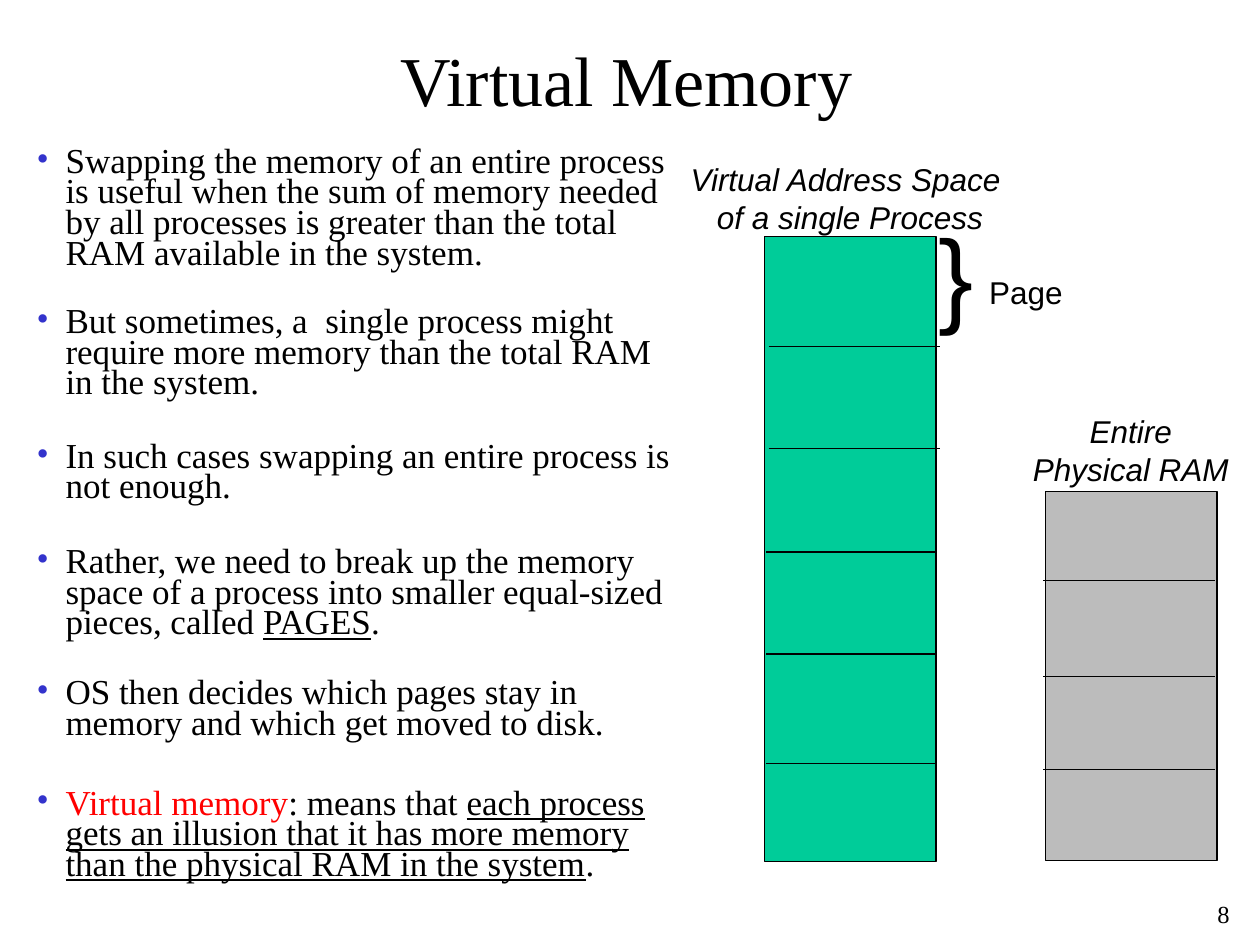
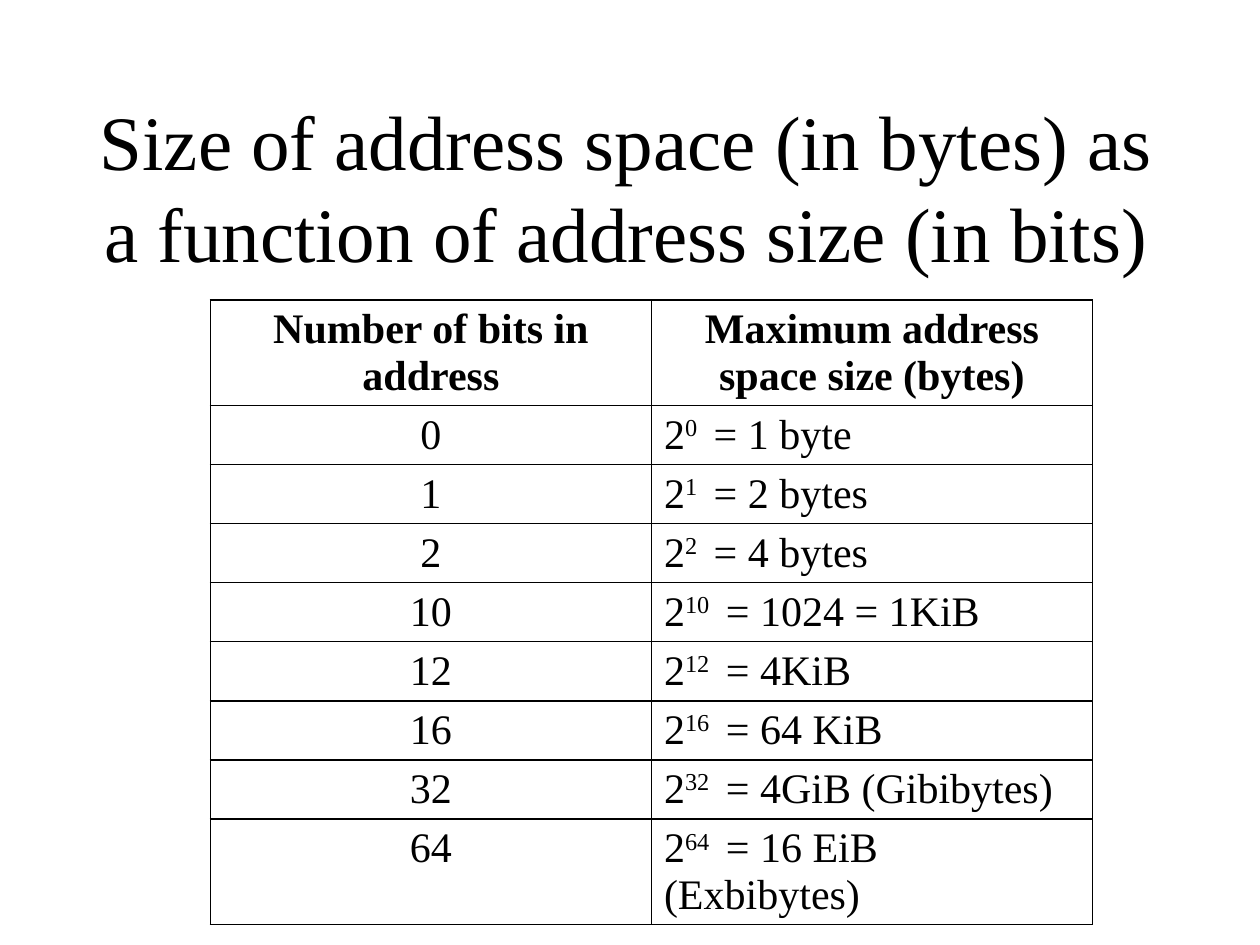
from dataclasses import dataclass

import pptx
import pptx.dml.color
import pptx.enum.shapes
import pptx.enum.text
import pptx.oxml
import pptx.oxml.ns
import pptx.oxml.xmlchemy
import pptx.util
from pptx.util import Inches

# Shared look
BLACK, RED, BULLET_BLUE = "000000", "FF0000", "3333CC"
GREEN, GRAY = "00CC99", "BCBCBC"
SERIF, SANS = "Times New Roman", "Arial"
INSET = Inches(0.05)
ALIGN = pptx.enum.text.PP_ALIGN
ANCHOR = pptx.enum.text.MSO_ANCHOR
BODY_STYLE = {"name": SERIF, "size": pptx.util.Pt(20)}
CELL_STYLE = {"name": SERIF, "size": pptx.util.Pt(24), "bold": False}
HEADER_STYLE = CELL_STYLE | {"bold": True}
LABEL_STYLE = {"name": SANS, "size": pptx.util.Pt(18)}
CAPTION_STYLE = LABEL_STYLE | {"italic": True}


@dataclass
class Span:
    text: str
    color: str = BLACK
    underline: bool = False
    superscript: bool = False


@dataclass
class Bullet:
    spans: list[Span]
    gap_before: float = 0


@dataclass
class Label:
    lines: list[str]
    box: tuple[float, float, float, float]
    style: dict
    align: ALIGN = ALIGN.LEFT
    wrap: bool = False
    line_spacing: float = 1.0


@dataclass
class MemoryBlock:
    left: float
    top: float
    height: float
    fill: str
    page_breaks: list[tuple[float, float]]  # left end and height on the slide
    width: float = 1.36


# Content
BULLETS = [
    Bullet([Span("Swapping the memory of an entire process is useful when the sum of "
                 "memory needed by all processes is greater than the total RAM "
                 "available in the system.")]),
    Bullet([Span("But sometimes, a  single process might require more memory than "
                 "the total RAM in the system.")], 21.5),
    Bullet([Span("In such cases swapping an entire process is not enough.")], 24.5),
    Bullet([Span("Rather, we need to break up the memory space of a process into "
                 "smaller equal-sized pieces, called "),
            Span("PAGES", underline=True), Span(".")], 25),
    Bullet([Span("OS then decides which pages stay in memory and which get moved "
                 "to disk.")], 22.5),
    Bullet([Span("Virtual memory", RED), Span(": means that "),
            Span("each process gets an illusion that it has more memory than the "
                 "physical RAM in the system", underline=True), Span(".")], 28),
]

MEMORY_BLOCKS = [
    MemoryBlock(6.07, 1.88, 4.96, GREEN,
                [(6.1, 2.75), (6.1, 3.56), (6.08, 4.38), (6.08, 5.19), (6.08, 6.06)]),
    MemoryBlock(8.3, 3.9, 2.93, GRAY, [(8.28, 4.61), (8.28, 5.37), (8.28, 6.11)]),
]

LABELS = [
    Label(["Virtual Address Space ", "of a single Process"], (5.39, 1.22, 2.71, 0.71),
          CAPTION_STYLE, ALIGN.CENTER),
    Label(["Entire", "Physical RAM"], (8.14, 3.22, 1.67, 0.71),
          CAPTION_STYLE, ALIGN.CENTER),
    Label(["Page"], (7.8, 2.12, 0.7, 0.41), LABEL_STYLE),
    Label(["}"], (7.4, 1.61, 0.39, 1.1), LABEL_STYLE | {"size": pptx.util.Pt(60)}),
    Label(["8"], (9.35, 7.11, 0.46, 0.31), {"name": SERIF, "size": pptx.util.Pt(14)},
          ALIGN.RIGHT, True, 0.9),
]

TABLE_HEADERS = ["Number of bits in address", "Maximum address space size (bytes)"]
SPACE_SIZES = {
    "0": "1 byte", "1": "2 bytes", "2": "4 bytes", "10": "1024 = 1KiB", "12": "4KiB",
    "16": "64 KiB", "32": "4GiB (Gibibytes)", "64": "16 EiB (Exbibytes)",
}


# Helpers
def rgb(color: str) -> pptx.dml.color.RGBColor:
    return pptx.dml.color.RGBColor.from_string(color)


def apply_format(target, values: dict) -> None:
    for name, value in values.items():
        setattr(target, name, value)


def add_spans(paragraph, spans: list[Span], style: dict) -> None:
    for span in spans:
        run = paragraph.add_run()
        run.text = span.text
        apply_format(run.font, style | {"underline": span.underline})
        run.font.color.rgb = rgb(span.color)
        if span.superscript:
            run.font._element.set("baseline", "30000")


def set_frame(shape, box: tuple[float, float, float, float], wrap: bool = True,
              anchor: ANCHOR = ANCHOR.TOP):
    apply_format(shape, dict(zip(("left", "top", "width", "height"), map(Inches, box))))
    frame = shape.text_frame
    apply_format(frame, {
        "margin_left": INSET, "margin_right": INSET, "margin_top": INSET,
        "margin_bottom": INSET, "word_wrap": wrap, "vertical_anchor": anchor,
        "auto_size": pptx.enum.text.MSO_AUTO_SIZE.NONE,
    })
    return frame


def set_title(slide, text: str, top: float, size: int) -> None:
    frame = set_frame(slide.shapes.title, (0.72, top, 8.5, 1.25), anchor=ANCHOR.MIDDLE)
    paragraph = frame.paragraphs[0]
    paragraph.alignment = ALIGN.CENTER
    add_spans(paragraph, [Span(text)], {"name": SERIF, "size": pptx.util.Pt(size)})


def add_bullet_mark(paragraph) -> None:
    properties = paragraph._p.get_or_add_pPr()
    properties.set("marL", str(Inches(0.23)))
    properties.set("indent", str(-Inches(0.23)))
    namespace = pptx.oxml.ns.nsdecls("a")
    for xml in (f'<a:buClr {namespace}><a:srgbClr val="{BULLET_BLUE}"/></a:buClr>',
                f'<a:buFont {namespace} typeface="{SERIF}"/>',
                f'<a:buChar {namespace} char="•"/>'):
        properties.append(pptx.oxml.parse_xml(xml))


def fill_body(body, bullets: list[Bullet]) -> None:
    frame = set_frame(body, (0.24, 1.13, 5.26, 6.17))
    for index, bullet in enumerate(bullets):
        paragraph = frame.add_paragraph() if index else frame.paragraphs[0]
        add_bullet_mark(paragraph)
        apply_format(paragraph, {"line_spacing": 0.73, "alignment": ALIGN.LEFT,
                                 "space_before": pptx.util.Pt(bullet.gap_before)})
        add_spans(paragraph, bullet.spans, BODY_STYLE)


def add_label(slide, label: Label) -> None:
    box = slide.shapes.add_textbox(0, 0, 0, 0)
    frame = set_frame(box, label.box, label.wrap)
    for index, line in enumerate(label.lines):
        paragraph = frame.add_paragraph() if index else frame.paragraphs[0]
        apply_format(paragraph, {"alignment": label.align,
                                 "line_spacing": label.line_spacing})
        add_spans(paragraph, [Span(line)], label.style)


def set_line(shape) -> None:
    shape.line.color.rgb = rgb(BLACK)
    shape.line.width = pptx.util.Pt(0.75)


def add_memory_block(slide, block: MemoryBlock) -> None:
    memory = slide.shapes.add_shape(
        pptx.enum.shapes.MSO_SHAPE.RECTANGLE, Inches(block.left), Inches(block.top),
        Inches(block.width), Inches(block.height))
    memory.shadow.inherit = False
    memory.fill.solid()
    memory.fill.fore_color.rgb = rgb(block.fill)
    set_line(memory)
    for left, height in block.page_breaks:
        page_break = slide.shapes.add_connector(
            pptx.enum.shapes.MSO_CONNECTOR.STRAIGHT, Inches(left), Inches(height),
            Inches(left + block.width), Inches(height))
        set_line(page_break)
        page_break._element.spPr.append(pptx.oxml.parse_xml(
            f'<a:effectLst {pptx.oxml.ns.nsdecls("a")}/>'))


def fill_cell(cell, spans: list[Span], style: dict, align: ALIGN) -> None:
    cell.fill.background()
    properties = cell._tc.get_or_add_tcPr()
    for position, side in enumerate(("lnL", "lnR", "lnT", "lnB")):
        properties.insert(position, pptx.oxml.parse_xml(
            f'<a:{side} {pptx.oxml.ns.nsdecls("a")} w="{pptx.util.Pt(1)}"><a:solidFill>'
            f'<a:srgbClr val="{BLACK}"/></a:solidFill></a:{side}>'))
    paragraph = cell.text_frame.paragraphs[0]
    paragraph.alignment = align
    add_spans(paragraph, spans, style)


def add_size_table(slide) -> None:
    row_count = len(SPACE_SIZES) + 1
    table = slide.shapes.add_table(row_count, 2, Inches(1.67), Inches(2.38), Inches(7),
                                   Inches(0.41) * row_count).table
    apply_format(table, {"first_row": False, "horz_banding": False})
    for column, header in enumerate(TABLE_HEADERS):
        fill_cell(table.cell(0, column), [Span(header)], HEADER_STYLE, ALIGN.CENTER)
    for row, (bits, size) in enumerate(SPACE_SIZES.items(), start=1):
        power = [Span("2"), Span(f"{bits} ", superscript=True), Span(f" = {size}")]
        fill_cell(table.cell(row, 0), [Span(bits)], CELL_STYLE, ALIGN.CENTER)
        fill_cell(table.cell(row, 1), power, CELL_STYLE, ALIGN.LEFT)


# Slides
def build_virtual_memory(deck) -> None:
    slide = deck.slides.add_slide(deck.slide_layouts[1])
    set_title(slide, "Virtual Memory", 0, 40)
    fill_body(slide.placeholders[1], BULLETS)
    for block in MEMORY_BLOCKS:
        add_memory_block(slide, block)
    for label in LABELS:
        add_label(slide, label)


def build_address_sizes(deck) -> None:
    slide = deck.slides.add_slide(deck.slide_layouts[5])
    set_title(slide, "Size of address space (in bytes) as a function of address size "
                     "(in bits)", 0.85, 44)
    add_size_table(slide)


def main() -> None:
    deck = pptx.Presentation()
    apply_format(deck, {"slide_width": Inches(10), "slide_height": Inches(7.5)})
    build_virtual_memory(deck)
    build_address_sizes(deck)
    deck.save("out.pptx")


if __name__ == "__main__":
    main()
